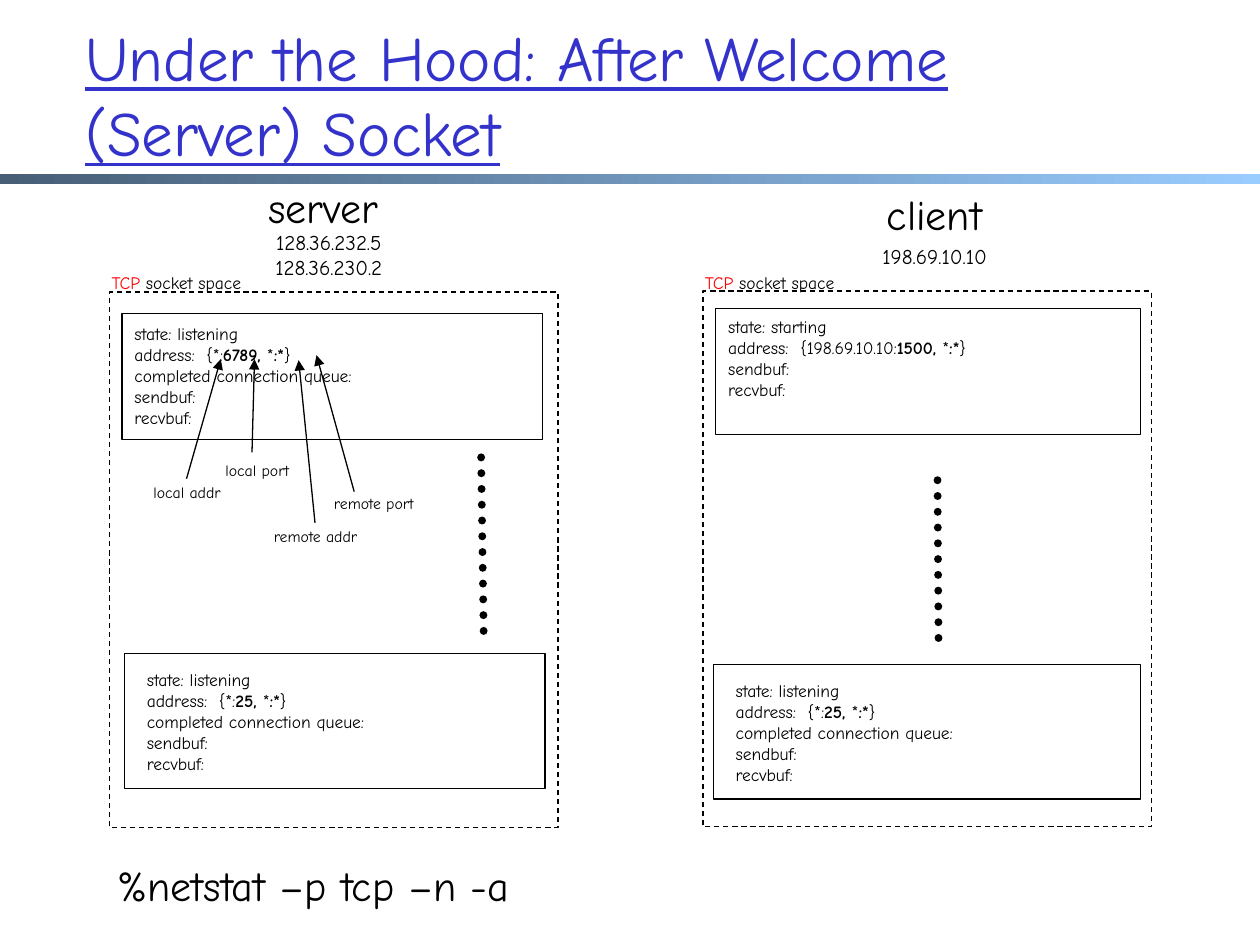
from dataclasses import dataclass

from lxml import etree
from pptx import Presentation
from pptx.dml.color import RGBColor
from pptx.enum.dml import MSO_LINE
from pptx.enum.shapes import MSO_CONNECTOR, MSO_SHAPE
from pptx.enum.text import MSO_ANCHOR, MSO_AUTO_SIZE, PP_ALIGN
from pptx.oxml.ns import qn
from pptx.util import Cm, Pt

RECT = MSO_SHAPE.RECTANGLE
STRAIGHT = MSO_CONNECTOR.STRAIGHT
DASH, DOTS = MSO_LINE.DASH, MSO_LINE.ROUND_DOT
LEFT, CENTER = PP_ALIGN.LEFT, PP_ALIGN.CENTER
TOP, MIDDLE = MSO_ANCHOR.TOP, MSO_ANCHOR.MIDDLE
FIT, FIXED = MSO_AUTO_SIZE.SHAPE_TO_FIT_TEXT, MSO_AUTO_SIZE.NONE


@dataclass(frozen=True)
class Theme:
    font: str = "Comic Neue"
    ink: str = "000000"
    title: str = "3333CC"
    accent: str = "FF0000"
    dark: str = "475E76"
    light: str = "99CCFF"
    huge: float = 36
    big: float = 24
    mid: float = 12
    small: float = 10
    tiny: float = 9
    thin: float = 0.75
    thick: float = 4.5


class Board:
    """Draws styled elements on one slide; lengths are in centimetres."""

    def __init__(self, slide, theme):
        self.shapes = slide.shapes
        self.theme = theme

    def style(self, run, size, color=None, bold=False):
        font = run.font
        font.name = self.theme.font
        font.size = Pt(size)
        font.bold = bold
        font.color.rgb = RGBColor.from_string(color or self.theme.ink)

    def text(self, box, text, size, align=CENTER, anchor=TOP, home=None):
        shape = (home or self.shapes).add_textbox(*map(Cm, box))
        frame = shape.text_frame
        frame.text = text
        frame.word_wrap = False
        frame.auto_size = FIT
        frame.vertical_anchor = anchor
        for para in frame.paragraphs:
            para.alignment = align
            for run in para.runs:
                self.style(run, size)
        return frame

    def title(self, box, text):
        frame = self.text(box, text, self.theme.huge, LEFT, MIDDLE)
        frame.word_wrap = True
        frame.auto_size = FIXED
        run = frame.paragraphs[0].runs[0]
        self.style(run, self.theme.huge, self.theme.title)
        run.font.underline = True

    def append(self, para, text, bold=False):
        run = para.add_run()
        run.text = text
        self.style(run, self.theme.small, bold=bold)

    def band(self, box):
        shape = self.shapes.add_shape(RECT, *map(Cm, box))
        shape.shadow.inherit = False
        shape.line.fill.background()
        shape.fill.gradient()
        shape.fill.gradient_angle = 0
        ends = (self.theme.dark, self.theme.light)
        for place, (stop, color) in enumerate(zip(shape.fill.gradient_stops, ends)):
            stop.position = place
            stop.color.rgb = RGBColor.from_string(color)

    def frame(self, box, dash=None, home=None):
        shape = (home or self.shapes).add_shape(RECT, *map(Cm, box))
        shape.shadow.inherit = False
        shape.fill.background()
        shape.line.color.rgb = RGBColor.from_string(self.theme.ink)
        shape.line.width = Pt(self.theme.thin)
        if dash:
            shape.line.dash_style = dash

    def space(self, left, top):
        """Draw a dashed socket space with its caption."""
        self.frame((left, top, 9.04, 10.8), DASH)
        frame = self.text((left - 0.33, 5.36, 3.35, 0.69), "TCP", self.theme.small)
        para = frame.paragraphs[0]
        self.style(para.runs[0], self.theme.small, self.theme.accent)
        self.append(para, " socket space")

    def socket(self, box, inset, state, host, port, queue=True):
        group = self.shapes.add_group_shape()
        self.frame(box, home=group.shapes)
        lines = [f"state: {state}", f"address:  {{{host}:"]
        if queue:
            lines.append("completed connection queue:")
        lines += ["sendbuf:", "recvbuf:"]
        left, top = box[0] + inset[0], box[1] + inset[1]
        width = 5.25 if queue else 6.22
        frame = self.text((left, top, width, 0.43 * len(lines) + 0.24),
                          "\n".join(lines), self.theme.small, LEFT, home=group.shapes)
        parts = ((f"{port}, ", True), ("*", False), (":*", True), ("}", False))
        for part, bold in parts:
            self.append(frame.paragraphs[1], part, bold)

    def line(self, start, end, width):
        link = self.shapes.add_connector(STRAIGHT, *map(Cm, start + end))
        link.line.color.rgb = RGBColor.from_string(self.theme.ink)
        link.line.width = Pt(width)
        etree.SubElement(link._element.spPr, qn("a:effectLst"))
        return link, link._element.spPr.find(qn("a:ln"))

    def arrow(self, start, end):
        _, stroke = self.line(start, end, self.theme.thin)
        etree.SubElement(stroke, qn("a:tailEnd"), type="triangle")

    def dots(self, start, end):
        link, stroke = self.line(start, end, self.theme.thick)
        link.line.dash_style = DOTS
        stroke.set("cap", "rnd")


def main():
    deck = Presentation()
    deck.slide_width, deck.slide_height = Cm(25.4), Cm(19.05)
    theme = Theme()
    board = Board(deck.slides.add_slide(deck.slide_layouts[6]), theme)

    board.band((0, 3.51, 25.4, 0.2))
    board.title((1.47, 0.3, 22.38, 3.18), "Under the Hood: After Welcome (Server) Socket")
    board.text((4.98, 3.53, 3.07, 1.27), "server", theme.big, anchor=MIDDLE)
    board.text((17.48, 3.68, 2.72, 1.27), "client", theme.big, anchor=MIDDLE)
    board.text((5.08, 4.5, 3.1, 1.27), "128.36.232.5\v128.36.230.2", theme.mid)
    board.text((17.37, 4.78, 2.95, 0.76), "198.69.10.10", theme.mid)

    board.space(2.21, 5.89)
    board.space(14.17, 5.87)
    board.socket((2.46, 6.32, 8.48, 2.54), (0, 0.06), "listening", "*", 6789)
    board.socket((2.51, 13.18, 8.48, 2.72), (0.2, 0.18), "listening", "*", 25)
    board.socket((14.38, 13.39, 8.61, 2.72), (0.2, 0.2), "listening", "*", 25)
    board.socket((14.43, 6.22, 8.56, 2.54), (0, 0.03), "starting",
                 "198.69.10.10", 1500, queue=False)
    board.dots((9.7, 9.22), (9.75, 12.75))
    board.dots((18.9, 9.68), (18.92, 12.9))

    labels = (
        ("local addr", (2.79, 9.6, 1.96), (3.76, 9.65), (4.45, 7.24)),
        ("local port", (4.22, 9.17, 1.93), (5.08, 9.12), (5.13, 7.24)),
        ("remote addr", (5.18, 10.49, 2.36), (6.35, 10.54), (6.02, 7.26)),
        ("remote port", (6.38, 9.83, 2.31), (7.14, 9.91), (6.38, 7.16)),
    )
    for name, place, start, end in labels:
        board.arrow(start, end)
        board.text((*place, 0.64), name, theme.tiny)

    board.text((2.11, 17.2, 8.97, 1.3), "%netstat –p tcp –n -a", theme.big, LEFT)
    deck.save("out.pptx")


if __name__ == "__main__":
    main()
